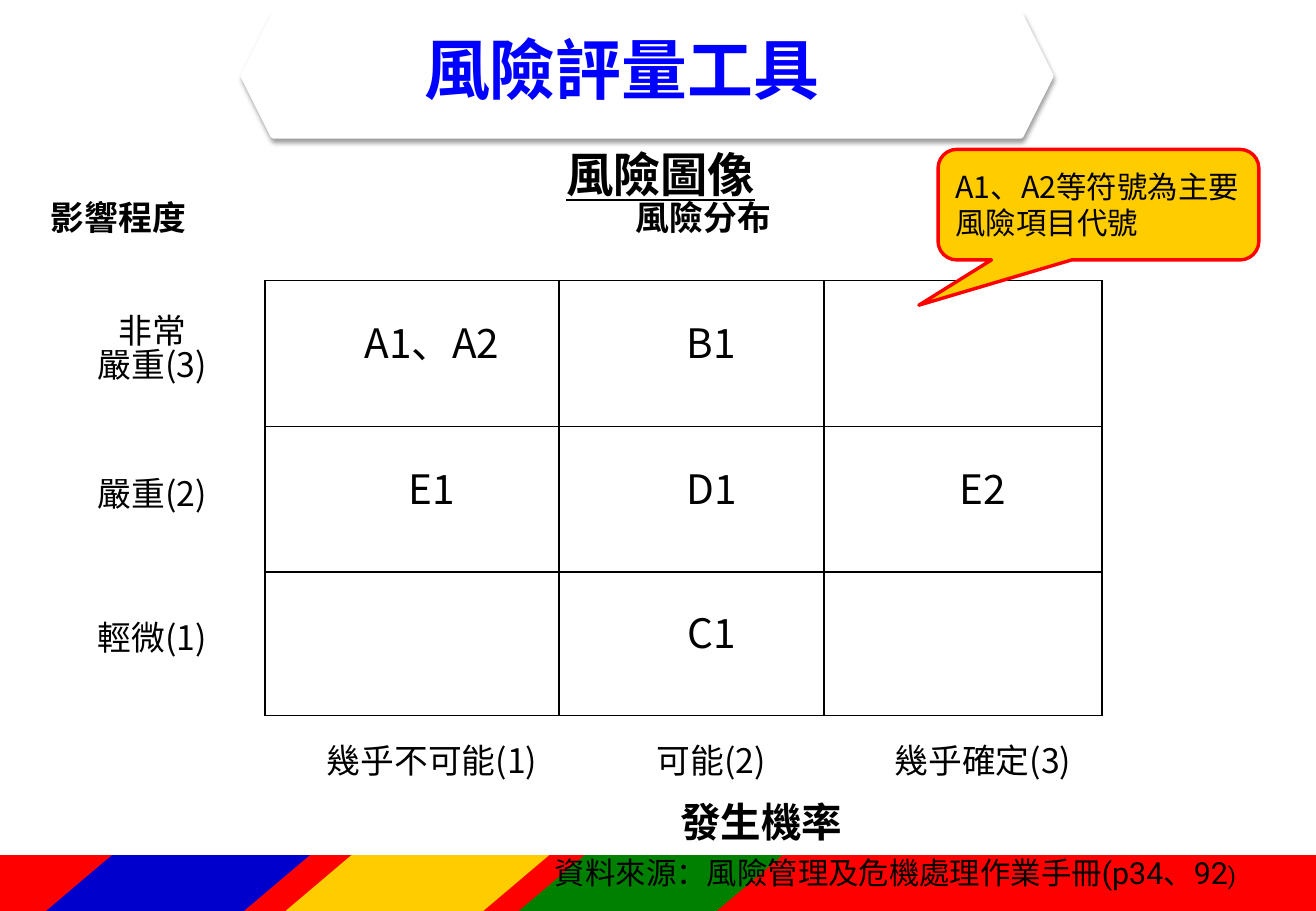
from lxml import etree
from pptx import Presentation
from pptx.dml.color import RGBColor
from pptx.enum.shapes import MSO_SHAPE
from pptx.enum.text import MSO_ANCHOR, PP_ALIGN
from pptx.oxml.ns import qn
from pptx.util import Pt

PX = 9144  # 100 px to the inch
CJK, LATIN = "Noto Sans CJK SC", "Roboto"
BLACK = RGBColor(0, 0, 0)
WHITE = RGBColor(255, 255, 255)
RED = RGBColor(255, 0, 0)
YELLOW = RGBColor(255, 204, 0)
GREEN = RGBColor(0, 128, 0)
NAVY = RGBColor(0, 0, 204)
BLUE = RGBColor(0, 0, 255)

RECT = MSO_SHAPE.RECTANGLE
PARALLELOGRAM = MSO_SHAPE.PARALLELOGRAM
HEXAGON = MSO_SHAPE.HEXAGON
CALLOUT = MSO_SHAPE.ROUNDED_RECTANGULAR_CALLOUT
LEFT, CENTER, RIGHT = PP_ALIGN.LEFT, PP_ALIGN.CENTER, PP_ALIGN.RIGHT
TOP, MIDDLE = MSO_ANCHOR.TOP, MSO_ANCHOR.MIDDLE

STRIPES = [(38, NAVY), (235, YELLOW), (427, GREEN)]
COLUMN_WIDTHS = [218, 242, 218, 229]
ROW_HEIGHTS = [61, 120, 120, 118, 120]
RISK_MATRIX = [
    ["影響程度", "風險分布", "", ""],
    ["非常\n嚴重(3)", "A1、A2", "B1", ""],
    ["嚴重(2)", "E1", "D1", "E2"],
    ["輕微(1)", "", "C1", ""],
    ["", "幾乎不可能(1)", "可能(2)", "幾乎確定(3)"],
]
LAST_ROW = len(RISK_MATRIX) - 1


def px(*lengths):
    return [length * PX for length in lengths]


def add_run(paragraph, text, size, color=BLACK, bold=False, underline=False, face=CJK):
    run = paragraph.add_run()
    run.text = text
    font = run.font
    font.size, font.bold, font.underline = Pt(size), bold, underline
    font.name = face
    font.color.rgb = color
    east_asian = etree.SubElement(run._r.get_or_add_rPr(), qn("a:ea"))
    east_asian.set("typeface", CJK)


def add_figure(slide, preset, box, fill, line=None, line_width=1, adjustments=()):
    figure = slide.shapes.add_shape(preset, *px(*box))
    figure.shadow.inherit = False
    figure.fill.solid()
    figure.fill.fore_color.rgb = fill
    if line is None:
        figure.line.fill.background()
    else:
        figure.line.color.rgb = line
        figure.line.width = Pt(line_width)
    for index, value in enumerate(adjustments):
        figure.adjustments[index] = value
    return figure


def add_label(slide, box, runs, align=LEFT, wrap=True):
    """Add a one-paragraph text box; runs holds (text, options) pairs."""
    frame = slide.shapes.add_textbox(*px(*box)).text_frame
    frame.word_wrap = wrap
    paragraph = frame.paragraphs[0]
    paragraph.alignment = align
    for text, options in runs:
        add_run(paragraph, text, **options)


def add_soft_shadow(figure):
    effects = figure._element.spPr.find(qn("a:effectLst"))
    shadow = etree.SubElement(effects, qn("a:outerShdw"), blurRad=str(Pt(3.1)),
                              dist=str(Pt(1.6)), dir="5400000", rotWithShape="0")
    color = etree.SubElement(shadow, qn("a:srgbClr"), val="000000")
    etree.SubElement(color, qn("a:alpha"), val="38000")


def set_borders(cell, drawn_edges):
    """Draw the edges named in drawn_edges (of L, R, T, B) and clear the others."""
    properties = cell._tc.get_or_add_tcPr()
    for edge in "LRTB":
        line = etree.SubElement(properties, qn("a:ln" + edge), w=str(Pt(1)))
        if edge in drawn_edges:
            fill = etree.SubElement(line, qn("a:solidFill"))
            etree.SubElement(fill, qn("a:srgbClr"), val=str(BLACK))
        else:
            etree.SubElement(line, qn("a:noFill"))


def grid_edges(row, column):
    """Edges of a cell that lie on the grid of the nine risk cells."""
    edges = ""
    if 1 <= row < LAST_ROW:
        edges += "LR" if column else "R"
    if column:
        edges += "T" if row else ""
        edges += "B" if row < LAST_ROW else ""
    return edges


def fill_cell(cell, row, column, text):
    in_grid = column > 0 and 1 <= row < LAST_ROW
    set_borders(cell, grid_edges(row, column))
    if in_grid and column < 3:
        cell.fill.solid()
        cell.fill.fore_color.rgb = WHITE
    else:
        cell.fill.background()
    cell.vertical_anchor = MIDDLE if 1 <= row < LAST_ROW else TOP
    cell.margin_left, cell.margin_right = px(9, 9)
    cell.margin_top = Pt(20) if row == LAST_ROW else 0
    cell.margin_bottom = 0
    if not text:
        return
    frame = cell.text_frame
    for index, line in enumerate(text.split("\n")):
        paragraph = frame.add_paragraph() if index else frame.paragraphs[0]
        paragraph.alignment = CENTER if row or column else LEFT
        paragraph.line_spacing = Pt(20)
        paragraph._p.get_or_add_pPr().set("marL", str(33 * PX))
        add_run(paragraph, line, 24 if in_grid else 20, bold=row == 0)


def add_risk_matrix(slide):
    table = slide.shapes.add_table(len(ROW_HEIGHTS), len(COLUMN_WIDTHS), *px(
        0, 170, sum(COLUMN_WIDTHS), sum(ROW_HEIGHTS))).table
    table.first_row = table.horz_banding = False
    for column, width in zip(table.columns, COLUMN_WIDTHS):
        column.width = width * PX
    for row, height in zip(table.rows, ROW_HEIGHTS):
        row.height = height * PX
    table.cell(0, 1).merge(table.cell(0, 3))
    for row, texts in enumerate(RISK_MATRIX):
        for column, text in enumerate(texts):
            fill_cell(table.cell(row, column), row, column, text)


def add_footer_band(slide):
    add_figure(slide, RECT, (-2, 704, 1085, 46), RED)
    for left, color in STRIPES:
        add_figure(slide, PARALLELOGRAM, (left, 704, 217, 46), color, adjustments=[1.18])


def add_title(slide):
    plaque = add_figure(slide, HEXAGON, (200, 13, 665, 99), WHITE, WHITE, 3)
    add_soft_shadow(plaque)
    frame = add_figure(slide, RECT, (333, 22, 394, 76), WHITE).text_frame
    frame.word_wrap = True
    frame.vertical_anchor = MIDDLE
    frame.margin_left, frame.margin_right = px(16, 16)
    frame.margin_top, frame.margin_bottom = px(16, 16)
    paragraph = frame.paragraphs[0]
    paragraph.alignment = LEFT
    paragraph.line_spacing = 0.9
    add_run(paragraph, "風險評量工具", 39, BLUE, bold=True)


def add_callout(slide):
    frame = add_figure(slide, CALLOUT, (772, 123, 264, 91), YELLOW, RED, 2,
                       [-0.56, 0.91, 0.17]).text_frame
    frame.word_wrap = True
    frame.vertical_anchor = MIDDLE
    frame.paragraphs[0].alignment = LEFT
    add_run(frame.paragraphs[0], "A1、A2等符號為主要風險項目代號", 18)


def main():
    presentation = Presentation()
    presentation.slide_width, presentation.slide_height = px(1083, 750)
    slide = presentation.slides.add_slide(presentation.slide_layouts[6])
    add_footer_band(slide)
    add_risk_matrix(slide)
    add_label(slide, (550, 651, 191, 38), [("發生機率", {"size": 24, "bold": True})])
    add_title(slide)
    add_label(slide, (456, 115, 177, 57),
              [("風險圖像", {"size": 28, "bold": True, "underline": True})], wrap=False)
    add_label(slide, (405, 698, 627, 40), [
        ("資料來源：風險管理及危機處理作業手冊", {"size": 18}),
        ("(p34", {"size": 18, "face": LATIN}),
        ("、", {"size": 18}),
        ("92", {"size": 18, "face": LATIN}),
        (") ", {"size": 14, "face": LATIN}),
    ], align=RIGHT)
    add_callout(slide)
    presentation.save("out.pptx")


if __name__ == "__main__":
    main()
